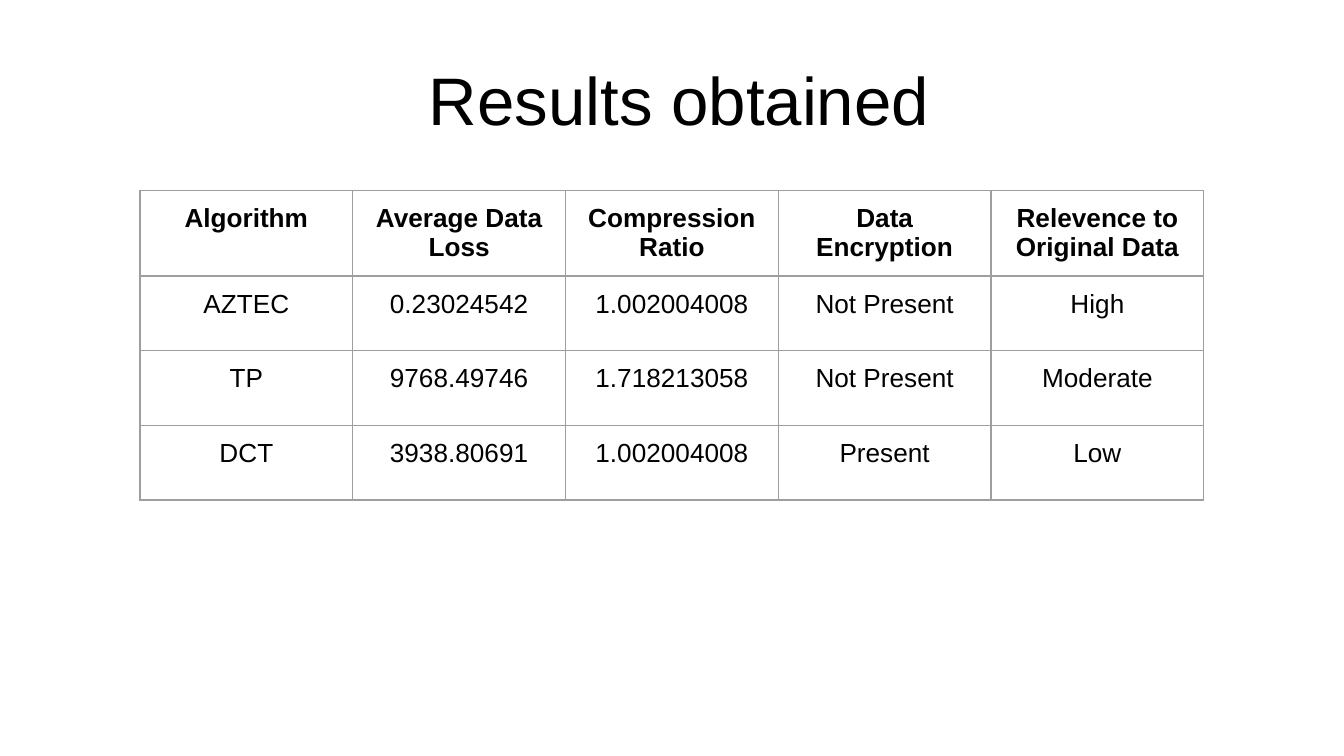
from dataclasses import dataclass

from lxml.etree import SubElement
from pptx import Presentation
from pptx.dml.color import RGBColor
from pptx.enum.text import MSO_ANCHOR as Anchor, MSO_AUTO_SIZE as AutoSize, PP_ALIGN as Align
from pptx.oxml.ns import qn
from pptx.util import Pt


@dataclass(frozen=True)
class Theme:
    font: str = "Arial"
    text: str = "000000"
    border: str = "9E9E9E"
    background: str = "FFFFFF"
    title_size: float = 36
    cell_size: float = 14
    border_width: float = 0.75
    inset: float = 7.2


class SlideBuilder:
    def __init__(self, deck, theme):
        self.theme = theme
        self.slide = deck.slides.add_slide(deck.slide_layouts[5])
        fill = self.slide.background.fill
        fill.solid()
        fill.fore_color.rgb = RGBColor.from_string(theme.background)

    def add_run(self, para, text, size, bold=False):
        para.alignment = Align.CENTER
        span = para.add_run()
        span.text = text
        span.font.name = self.theme.font
        span.font.size = Pt(size)
        span.font.bold = bold
        span.font.color.rgb = RGBColor.from_string(self.theme.text)

    def set_insets(self, holder):
        for side in ("left", "right", "top", "bottom"):
            setattr(holder, f"margin_{side}", Pt(self.theme.inset))

    def add_title(self, text, left, top, width, height):
        box = self.slide.shapes.title
        box.left, box.top, box.width, box.height = map(Pt, (left, top, width, height))
        frame = box.text_frame
        frame.word_wrap = True
        frame.auto_size = AutoSize.NONE
        frame.vertical_anchor = Anchor.MIDDLE
        self.set_insets(frame)
        para = frame.paragraphs[0]
        para.line_spacing = 0.9
        self.add_run(para, text, self.theme.title_size)

    def add_borders(self, cell):
        properties = cell._tc.get_or_add_tcPr()
        for side in ("L", "R", "T", "B"):
            line = SubElement(properties, qn(f"a:ln{side}"), w=str(Pt(self.theme.border_width)))
            fill = SubElement(line, qn("a:solidFill"))
            SubElement(fill, qn("a:srgbClr"), val=self.theme.border)

    def add_table(self, rows, left, top, column_width, row_height):
        """Draw a bordered grid whose first row is a bold header."""
        columns = len(rows[0])
        table = self.slide.shapes.add_table(
            len(rows), columns, Pt(left), Pt(top),
            Pt(column_width * columns), Pt(row_height * len(rows)),
        ).table
        table.horz_banding = False
        for column in table.columns:
            column.width = Pt(column_width)
        for row_index, row in enumerate(rows):
            table.rows[row_index].height = Pt(row_height)
            for column_index, text in enumerate(row):
                cell = table.cell(row_index, column_index)
                self.set_insets(cell)
                cell.vertical_anchor = Anchor.TOP
                self.add_borders(cell)
                cell.fill.background()
                self.add_run(cell.text_frame.paragraphs[0], text,
                             self.theme.cell_size, bold=row_index == 0)


RESULTS = [
    ("Algorithm", "Average Data Loss", "Compression Ratio", "Data Encryption",
     "Relevence to Original Data"),
    ("AZTEC", "0.23024542", "1.002004008", "Not Present", "High"),
    ("TP", "9768.49746", "1.718213058", "Not Present", "Moderate"),
    ("DCT", "3938.80691", "1.002004008", "Present", "Low"),
]


def main():
    deck = Presentation()
    deck.slide_width, deck.slide_height = Pt(720), Pt(405)
    page = SlideBuilder(deck, Theme())
    page.add_title("Results obtained", left=75, top=21.6, width=577.5, height=67.7)
    page.add_table(RESULTS, left=75, top=102, column_width=114, row_height=40)
    deck.save("out.pptx")


if __name__ == "__main__":
    main()
